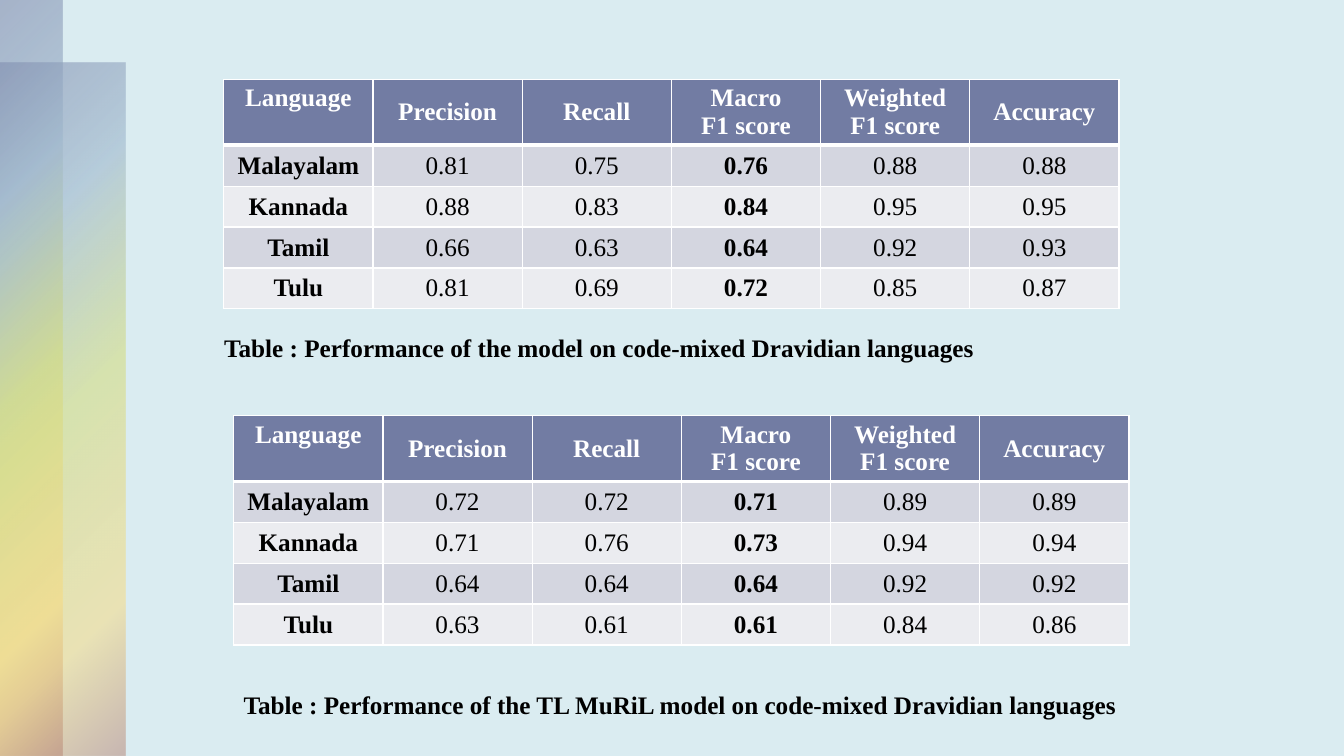
from pptx import Presentation
from pptx.dml.color import RGBColor
from pptx.enum.shapes import MSO_SHAPE as Preset
from pptx.enum.text import MSO_ANCHOR as Anchor, MSO_AUTO_SIZE as AutoSize, PP_ALIGN as Align
from pptx.oxml import parse_xml
from pptx.oxml.ns import nsdecls
from pptx.util import Cm, Pt

COLORS = {
    "page": "DAECF1",
    "header": "727CA3",
    "odd_row": "D4D6E0",
    "even_row": "EBECF0",
    "border": "FFFFFF",
    "header_text": "FFFFFF",
    "text": "000000",
}
# Gradient stops: position, colour, opacity (percent)
BAND_STOPS = [
    (0, "727CA3", 50), (25, "9FB8CD", 60), (50, "D2DA7A", 55),
    (81, "FADA7A", 50), (99, "B88472", 50), (100, "B88472", 50),
]
FONT = {"name": "Times New Roman", "size": Pt(18)}

COLUMN_WIDTH, HEADER_HEIGHT, ROW_HEIGHT = 3.76, 1.63, 1.03
BOLD_COLUMNS = (0, 3)
HEADINGS = ["Language", "Precision", "Recall", "Macro\nF1 score", "Weighted\nF1 score", "Accuracy"]
MODEL_SCORES = [
    ["Malayalam", "0.81", "0.75", "0.76", "0.88", "0.88"],
    ["Kannada", "0.88", "0.83", "0.84", "0.95", "0.95"],
    ["Tamil", "0.66", "0.63", "0.64", "0.92", "0.93"],
    ["Tulu", "0.81", "0.69", "0.72", "0.85", "0.87"],
]
MURIL_SCORES = [
    ["Malayalam", "0.72", "0.72", "0.71", "0.89", "0.89"],
    ["Kannada", "0.71", "0.76", "0.73", "0.94", "0.94"],
    ["Tamil", "0.64", "0.64", "0.64", "0.92", "0.92"],
    ["Tulu", "0.63", "0.61", "0.61", "0.84", "0.86"],
]


def rgb(name):
    return RGBColor.from_string(COLORS[name])


def style_text(para, color, bold):
    for span in para.runs:
        for key, value in {**FONT, "bold": bold}.items():
            setattr(span.font, key, value)
        span.font.color.rgb = rgb(color)


def add_band(page, left, top, width, height):
    """Side band with a translucent radial gradient from its top left corner."""
    band = page.shapes.add_shape(Preset.RECTANGLE, Cm(left), Cm(top), Cm(width), Cm(height))
    band.shadow.inherit = False
    band.line.fill.background()
    stops = "".join(
        f'<a:gs pos="{position * 1000}"><a:srgbClr val="{color}">'
        f'<a:alpha val="{opacity * 1000}"/></a:srgbClr></a:gs>'
        for position, color, opacity in BAND_STOPS
    )
    gradient = parse_xml(
        f'<a:gradFill {nsdecls("a")} rotWithShape="1"><a:gsLst>{stops}</a:gsLst>'
        '<a:path path="circle"><a:fillToRect r="100000" b="100000"/></a:path></a:gradFill>'
    )
    band.element.spPr.prstGeom.addnext(gradient)


def add_borders(cell, top, bottom):
    properties = cell._tc.get_or_add_tcPr()
    for side, points in {"L": 1, "R": 1, "T": top, "B": bottom}.items():
        properties.append(parse_xml(
            f'<a:ln{side} {nsdecls("a")} w="{points * 12700}"><a:solidFill>'
            f'<a:srgbClr val="{COLORS["border"]}"/></a:solidFill></a:ln{side}>'
        ))


def fill_cell(cell, text, row, column):
    is_header = row == 0
    add_borders(cell, top=3 if row == 1 else 1, bottom=3 if is_header else 1)
    cell.fill.solid()
    cell.fill.fore_color.rgb = rgb("header" if is_header else "odd_row" if row % 2 else "even_row")
    cell.vertical_anchor = Anchor.TOP if is_header and column == 0 else Anchor.MIDDLE
    cell.text_frame.text = text
    for para in cell.text_frame.paragraphs:
        para.alignment = Align.CENTER
        style_text(para, "header_text" if is_header else "text", is_header or column in BOLD_COLUMNS)


def add_score_table(page, left, top, scores):
    lines = [HEADINGS] + scores
    width = COLUMN_WIDTH * len(HEADINGS)
    height = HEADER_HEIGHT + ROW_HEIGHT * len(scores)
    table = page.shapes.add_table(
        len(lines), len(HEADINGS), Cm(left), Cm(top), Cm(width), Cm(height)
    ).table
    table.horz_banding = False
    for column in table.columns:
        column.width = Cm(COLUMN_WIDTH)
    for row, line in enumerate(lines):
        table.rows[row].height = Cm(ROW_HEIGHT if row else HEADER_HEIGHT)
        for column, text in enumerate(line):
            fill_cell(table.cell(row, column), text, row, column)


def add_caption(page, left, top, width, text):
    box = page.shapes.add_textbox(Cm(left), Cm(top), Cm(width), Cm(1.03))
    frame = box.text_frame
    for key, value in {"word_wrap": True, "auto_size": AutoSize.SHAPE_TO_FIT_TEXT, "text": text}.items():
        setattr(frame, key, value)
    style_text(frame.paragraphs[0], "text", True)


def main():
    deck = Presentation()
    deck.slide_width, deck.slide_height = Cm(33.87), Cm(19.05)
    page = deck.slides.add_slide(deck.slide_layouts[6])
    page.background.fill.solid()
    page.background.fill.fore_color.rgb = rgb("page")

    # Overlapping side bands
    add_band(page, 0, 1.57, 3.16, 17.48)
    add_band(page, 0, 0, 1.58, 19.05)

    # Score tables
    add_score_table(page, 5.64, 2, MODEL_SCORES)
    add_score_table(page, 5.89, 10.47, MURIL_SCORES)

    # Captions
    add_caption(page, 5.4, 8.24, 25.25, "Table : Performance of the model on code-mixed Dravidian languages")
    add_caption(page, 5.89, 17.25, 26.82,
                "Table : Performance of the TL MuRiL model on code-mixed Dravidian languages")

    deck.save("out.pptx")


if __name__ == "__main__":
    main()
